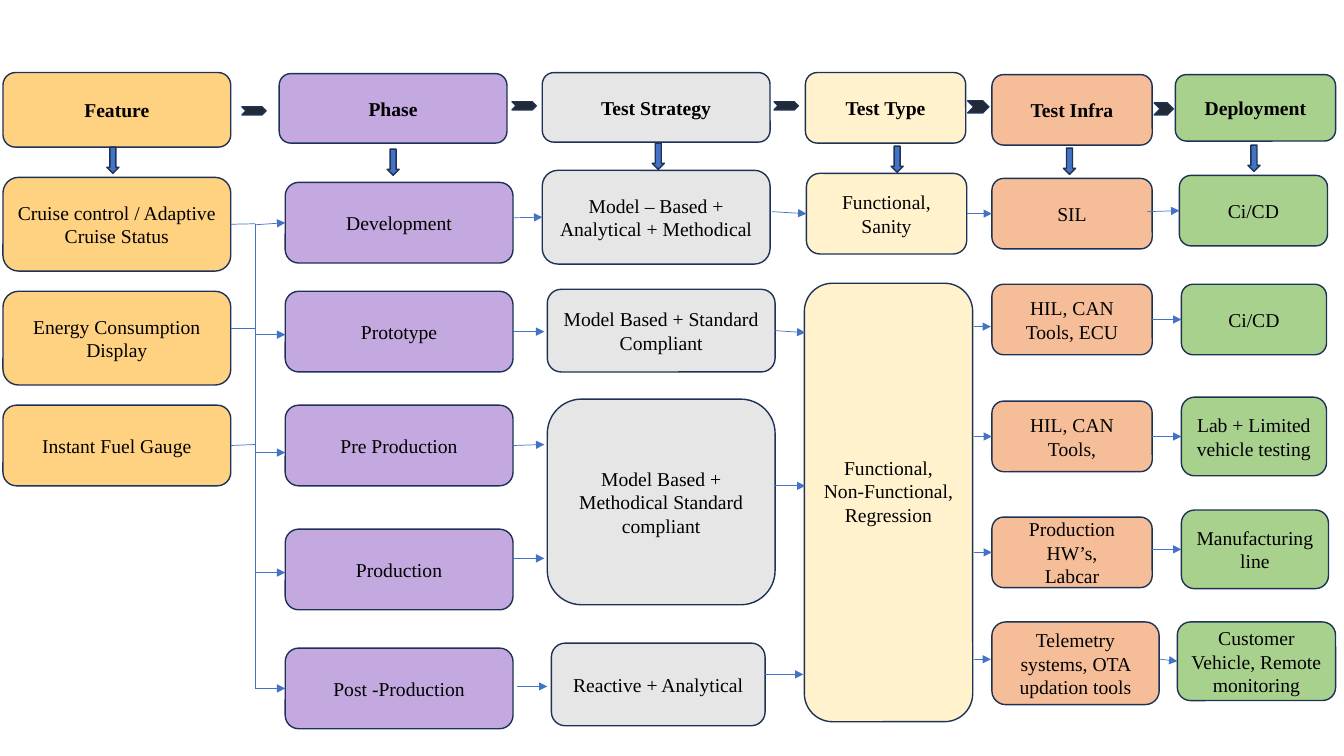
import pptx
import pptx.util
import pptx.dml.color
import pptx.enum.shapes
import pptx.enum.text
import pptx.oxml
import pptx.oxml.ns

RGBColor = pptx.dml.color.RGBColor
KIND = pptx.enum.shapes.MSO_SHAPE
GOLD = RGBColor(0xFF, 0xD2, 0x81)
LILAC = RGBColor(0xC3, 0xA9, 0xDF)
GREY = RGBColor(0xE7, 0xE6, 0xE6)
CREAM = RGBColor(0xFF, 0xF2, 0xCC)
PEACH = RGBColor(0xF6, 0xBE, 0x98)
GREEN = RGBColor(0xA9, 0xD1, 0x8E)
BLUE = RGBColor(0x44, 0x72, 0xC4)
NAVY = RGBColor(0x1E, 0x32, 0x56)
SLATE = RGBColor(0x22, 0x2A, 0x35)
BLACK = RGBColor(0, 0, 0)

CELL = pptx.util.Inches(0.1)
FONT = {"name": "Times New Roman", "size": pptx.util.Pt(14)}
FRAME = {"word_wrap": True, "vertical_anchor": pptx.enum.text.MSO_ANCHOR.MIDDLE}

deck = pptx.Presentation()
deck.slide_width = round(133.33 * CELL)
deck.slide_height = 75 * CELL
slide = deck.slides.add_slide(deck.slide_layouts[6])


def draw(kind, fill, *area):
    shape = slide.shapes.add_shape(kind, *[round(n * CELL) for n in area])
    shape.shadow.inherit = False
    shape.fill.solid()
    shape.fill.fore_color.rgb = fill
    shape.line.color.rgb = NAVY
    shape.line.width = pptx.util.Pt(1)
    return shape


def wire(left, top, right, base, head=True):
    line = slide.shapes.add_connector(
        pptx.enum.shapes.MSO_CONNECTOR.STRAIGHT,
        *[round(n * CELL) for n in (left, top, right, base)])
    line.line.color.rgb = BLUE
    line.line.width = pptx.util.Pt(0.5)
    if head:
        tip = pptx.oxml.parse_xml(
            f'<a:tailEnd {pptx.oxml.ns.nsdecls("a")} type="triangle"/>')
        line.line._get_or_add_ln().append(tip)
    line._element.spPr.append(pptx.oxml.parse_xml(
        f'<a:effectLst {pptx.oxml.ns.nsdecls("a")}/>'))
    near = 0.25 * CELL
    for box in boxes:
        mid = box.top + box.height / 2
        edge = box.left + box.width
        if abs(left * CELL - edge) < near and abs(top * CELL - mid) < near:
            line.begin_connect(box, 3)
        if abs(right * CELL - box.left) < near and abs(base * CELL - mid) < near:
            line.end_connect(box, 1)


# fmt: off
columns = [
    (GOLD, 0.3, 22.6, [
        ("Feature", 7.2, 7.4),
        ("Cruise control / Adaptive\nCruise Status", 17.6, 9.3),
        ("Energy Consumption\nDisplay", 28.9, 9.3),
        ("Instant Fuel Gauge", 40.2, 8)]),
    (LILAC, 28.3, 22.6, [
        ("Phase", 7.3, 6.9, -0.6),
        ("Development", 18.1, 8),
        ("Prototype", 28.9, 8),
        ("Pre Production", 40.2, 8),
        ("Production", 52.5, 8),
        ("Post -Production", 64.3, 8)]),
    (GREY, 54.3, 22.6, [
        ("Test Strategy", 7.2, 6.9, -0.5),
        ("Model – Based + Analytical + Methodical", 16.9, 9.3, -0.5),
        ("Model Based + Standard Compliant", 28.7, 8.2),
        ("Model Based + Methodical Standard compliant", 39.6, 20.4),
        ("Reactive + Analytical", 63.8, 8.2, 0.4, -1.4)]),
    (CREAM, 79.9, 15.9, [
        ("Test Type", 7.2, 7),
        ("Functional,\nSanity", 17.2, 8, 0.1),
        ("Functional, Non-Functional,\nRegression", 28.1, 43.5, -0.1, 0.8)]),
    (PEACH, 98.4, 15.9, [
        ("Test Infra", 7.4, 7),
        ("SIL", 17.7, 7),
        ("HIL, CAN Tools, ECU", 28.2, 7),
        ("HIL, CAN Tools,", 39.8, 7),
        ("Production HW’s,\vLabcar", 51.3, 7),
        ("Telemetry systems, OTA updation tools", 61.7, 8.2, 0, 0.7)]),
    (GREEN, 117.2, 14.4, [
        ("Deployment", 7.4, 6.6, -0.6, 1.5),
        ("Ci/CD", 17.4, 7, -0.2, 0.3),
        ("Ci/CD", 28.2, 7),
        ("Lab + Limited vehicle testing", 39.4, 7.8),
        ("Manufacturing line", 50.6, 7.8, 0, 0.2),
        ("Customer Vehicle, Remote monitoring", 61.7, 7.8, -0.4, 1.3)]),
]
# fmt: on

boxes = []
for fill, left, wide, rows in columns:
    for row, (text, top, high, *more) in enumerate(rows):
        shift, grow = (more + [0, 0])[:2]
        box = draw(KIND.ROUNDED_RECTANGLE, fill, left + shift, top, wide + grow, high)
        frame = box.text_frame
        for key, value in FRAME.items():
            setattr(frame, key, value)
        if high > 40:
            frame.margin_bottom = round(2.8 * CELL)
        frame.text = text
        for para in frame.paragraphs:
            para.alignment = pptx.enum.text.PP_ALIGN.CENTER
            for run in para.runs:
                for key, value in FONT.items():
                    setattr(run.font, key, value)
                run.font.bold = row == 0
                run.font.color.rgb = BLACK
        boxes.append(box)

for top in (22.2, 32.6, 44.1):
    wire(22.9, top, 25.3, top, False)
wire(25.3, 22.2, 25.3, 68.3, False)

gaps = [
    (25.3, 28.3, (22.3, 33.2, 44.9, 56.8, 68.3)),
    (51, 54, (21.6, 32.9, 44.1, 55.4)),
    (51.3, 54.3, (68.1,)),
    (76.6, 80, (21,)),
    (76.9, 79.9, (33, 48.2)),
    (75.8, 79.7, (66.9,)),
    (95.9, 98.4, (21.2,)),
    (96.6, 98.3, (32.4, 43.3, 54.8, 65.4)),
    (113.8, 116.8, (21,)),
    (114.2, 117.2, (31.7, 43.3, 54.5)),
    (115.1, 116.8, (65.4,)),
]
for left, right, tops in gaps:
    for top in tops:
        wire(left, top, right, top)

drops = [(10.6, 14.6), (38.4, 14.8), (64.7, 14.2),
         (88.4, 14.5), (105.5, 14.7), (123.8, 14.4)]
for left, top in drops:
    draw(KIND.DOWN_ARROW, BLUE, left, top, 1.2, 2.6)

steps = [(24, 10.6, 2.4, 0.8), (50.8, 10.1, 2.4, 0.8), (76.8, 10.1, 2.4, 0.8),
         (96, 10, 2.1, 1.2), (114.5, 10.2, 1.9, 1.2)]
for area in steps:
    draw(KIND.CHEVRON, SLATE, *area)

deck.save("out.pptx")
